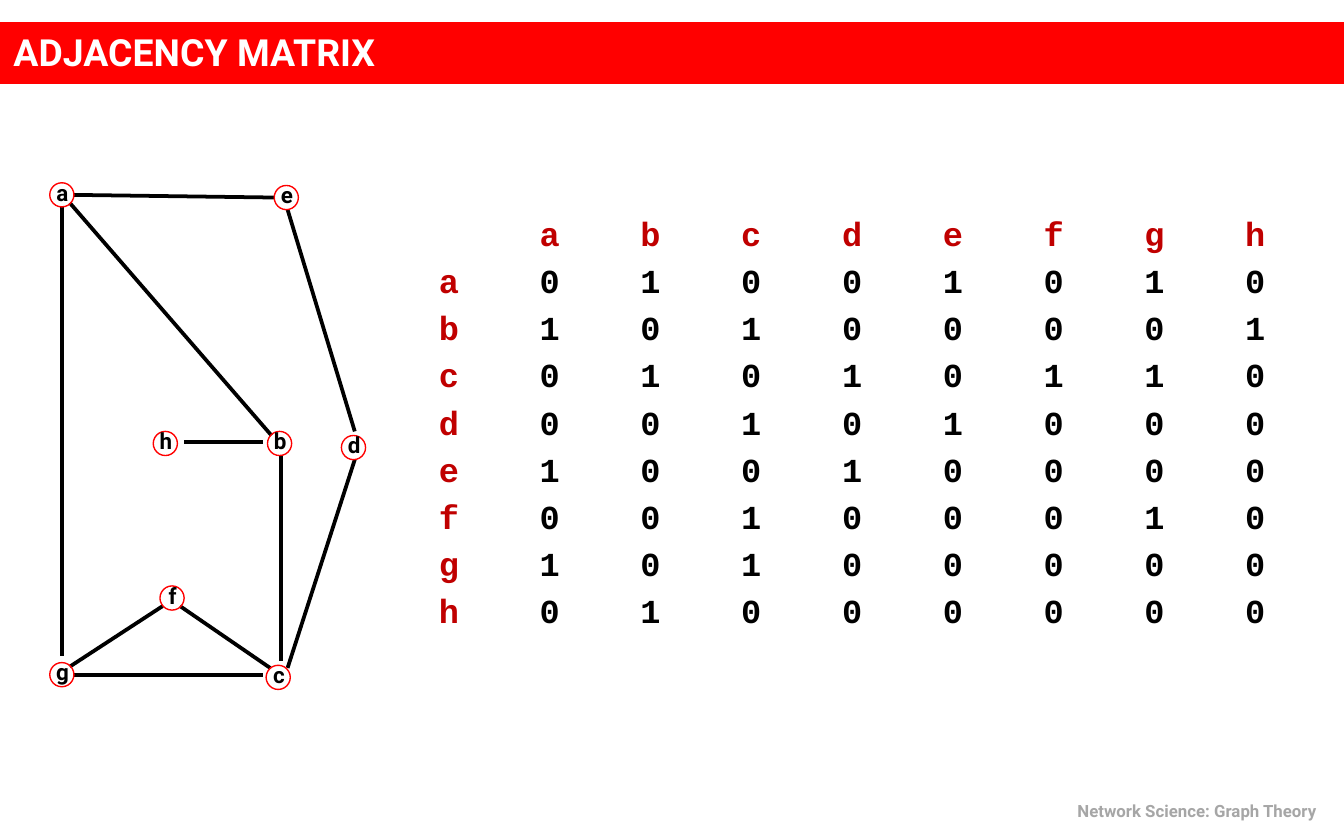
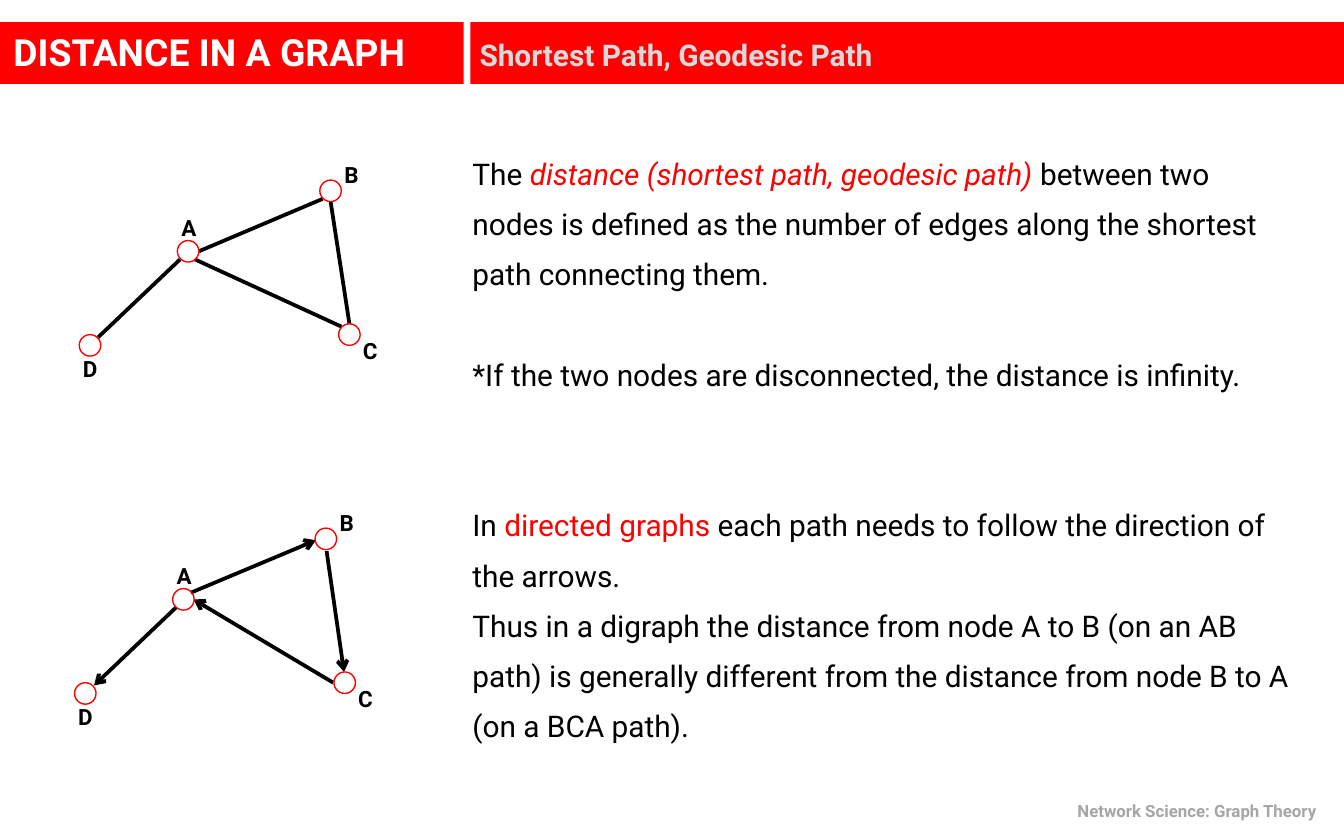
from collections import namedtuple

from lxml import etree
from pptx import Presentation
from pptx import util as u
from pptx.dml import color
from pptx.enum import shapes, text
from pptx.oxml import ns

Box = namedtuple("Box", "left top width height")
Node = namedtuple("Node", "label x y shift_x shift_y")

CELL = u.Inches(0.1)
COLUMNS, ROWS = 100, 62.5
RED, DARK_RED, BLACK, WHITE = "FF0000", "C00000", "000000", "FFFFFF"
GREY, LIGHT_GREY = "A6A6A6", "D9D9D9"
FONT, MATRIX_FONT = "Roboto", "Courier New"
BAND = Box(0, 1.65, COLUMNS, 4.6)
SUBTITLE = Box(34.7, 1.75, 60, 4.6)
FOOTER = Box(70.9, 59.1, 28, 2.5)
TEXT_LINE = 27

LETTER_NODES = [
    Node(label, x, y, 0.05, -0.2)
    for label, x, y in [
        ("a", 1.3, 1.2), ("b", 17.5, 19.7), ("c", 17.4, 37.1), ("d", 23, 20),
        ("e", 18, 1.4), ("f", 9.5, 31.2), ("g", 1.3, 36.9), ("h", 9, 19.7),
    ]
]
LETTER_EDGES = [
    (1.9, 1.8, 16.9, 19.1), (1.3, 2, 1.3, 35.5), (2.2, 1.2, 17.1, 1.4),
    (1.9, 36.3, 8.8, 31.8), (10.1, 31.8, 16.8, 36.4), (2.2, 36.9, 16.3, 36.9),
    (17.6, 20.6, 17.6, 35.9), (10.4, 19.6, 16.3, 19.6),
    (18.1, 2.3, 23.1, 18.8), (18.1, 36.4, 23.1, 20.9),
]
ADJACENCY = {
    "a": "01001010", "b": "10100001", "c": "01010110", "d": "00101000",
    "e": "10010000", "f": "00100010", "g": "10100000", "h": "01000000",
}
PATH_NODES = [
    Node("A", 9, 6.7, 0.05, -1.8), Node("B", 19.6, 2.2, 1.55, -1.2),
    Node("C", 21, 12.9, 1.55, 1.15), Node("D", 1.7, 13.7, 0, 1.7),
]
UNDIRECTED_EDGES = [
    (2.3, 13.1, 8.4, 7.3), (9.8, 6.7, 19, 2.8),
    (21, 12.1, 19.6, 3), (9.5, 7.3, 20.4, 12.3),
]
DIRECTED_EDGES = [
    (8.45, 7.3, 2.35, 13.1), (9.55, 6.2, 18.85, 2.3),
    (19.65, 3.1, 20.95, 12.1), (20.15, 12.9, 9.75, 6.7),
]
DEFINITIONS = [
    (0, [
        ("The ", BLACK),
        ("distance (shortest path, geodesic path) ", RED, True),
        ("between two nodes is defined as the number of edges along "
         "the shortest path connecting them.", BLACK),
    ]),
    (1, [("*If the two nodes are disconnected, the distance is infinity.", BLACK)]),
    (2, [
        ("In ", BLACK),
        ("directed graphs ", RED),
        ("each path needs to follow the direction of the arrows.", BLACK),
    ]),
    (0, [
        ("Thus in a digraph the distance from node A to B (on an AB path) is "
         "generally different from the distance from node B to A "
         "(on a BCA path).", BLACK),
    ]),
]


def rgb(value):
    """Turn a hex string into a colour."""
    return color.RGBColor.from_string(value)


def cells(*counts):
    """Turn grid cells into slide lengths."""
    return [u.Emu(round(count * CELL)) for count in counts]


def centred(x, y, width, height):
    """Return the box of a given size around a point."""
    return Box(x - width / 2, y - height / 2, width, height)


def style(span, size, shade, font=FONT, bold=True, italic=False):
    """Format one run."""
    span.font.name = font
    span.font.size = u.Pt(size)
    span.font.bold = bold
    span.font.italic = italic
    span.font.color.rgb = rgb(shade)


def place(holder, box):
    """Move a placeholder to a box and switch off text fitting."""
    holder.left, holder.top, holder.width, holder.height = cells(*box)
    holder.text_frame.auto_size = text.MSO_AUTO_SIZE.NONE
    holder.text_frame.word_wrap = True


def add_label(page, box, words, size, shade, alignment):
    """Add one line of bold text."""
    frame = page.shapes.add_textbox(*cells(*box)).text_frame
    frame.word_wrap = True
    frame.text = words
    paragraph = frame.paragraphs[0]
    paragraph.alignment = alignment
    style(paragraph.runs[0], size, shade)
    return frame


def add_node(page, x, y, diameter):
    """Draw an open red circle around a point."""
    circle = page.shapes.add_shape(
        shapes.MSO_SHAPE.OVAL, *cells(*centred(x, y, diameter, diameter)))
    circle.shadow.inherit = False
    circle.fill.background()
    circle.line.color.rgb = rgb(RED)
    circle.line.width = u.Pt(0.75)


def add_edge(page, ends, directed):
    """Draw an edge, with an arrowhead if it is directed."""
    edge = page.shapes.add_connector(shapes.MSO_CONNECTOR.STRAIGHT, *cells(*ends))
    edge.line.color.rgb = rgb(BLACK)
    edge.line.width = u.Pt(2)
    if directed:
        outline = edge.line._get_or_add_ln()
        etree.SubElement(outline, ns.qn("a:tailEnd"), type="arrow")
    etree.SubElement(edge._element.spPr, ns.qn("a:effectLst"))


def add_graph(page, box, nodes, edges, diameter, directed=False):
    """Draw a graph inside a box."""
    for x1, y1, x2, y2 in edges:
        ends = (box.left + x1, box.top + y1, box.left + x2, box.top + y2)
        add_edge(page, ends, directed)
    for node in nodes:
        x, y = box.left + node.x, box.top + node.y
        add_node(page, x, y, diameter)
        spot = centred(x + node.shift_x, y + node.shift_y, 2.7, 2)
        frame = add_label(page, spot, node.label, 12, BLACK, text.PP_ALIGN.CENTER)
        frame.margin_left = frame.margin_right = 0
        frame.margin_top = frame.margin_bottom = 0


def add_subtitle(page, words):
    """Write a subtitle in the band, behind a white divider."""
    frame = add_label(page, SUBTITLE, words, 16, LIGHT_GREY, text.PP_ALIGN.LEFT)
    frame.vertical_anchor = text.MSO_ANCHOR.MIDDLE
    divider = page.shapes.add_shape(
        shapes.MSO_SHAPE.RECTANGLE, *cells(34.5, BAND.top, 0.5, BAND.height))
    divider.shadow.inherit = False
    divider.fill.solid()
    divider.fill.fore_color.rgb = rgb(WHITE)
    divider.line.fill.background()


def add_page(deck, layout, title):
    """Add a slide with the red title band and the footer."""
    page = deck.slides.add_slide(deck.slide_layouts.get_by_name(layout))
    band = page.shapes.title
    place(band, BAND)
    band.fill.solid()
    band.fill.fore_color.rgb = rgb(RED)
    frame = band.text_frame
    frame.vertical_anchor = text.MSO_ANCHOR.MIDDLE
    frame.margin_bottom = u.Inches(0.07)
    frame.text = title
    frame.paragraphs[0].alignment = text.PP_ALIGN.LEFT
    style(frame.paragraphs[0].runs[0], 20, WHITE)
    add_label(page, FOOTER, "Network Science: Graph Theory", 9, GREY,
              text.PP_ALIGN.RIGHT)
    return page


def add_matrix(page, box, adjacency):
    """Write the adjacency matrix as a plain table filling a box."""
    rows = [["", *adjacency]]
    rows += [[name, *values] for name, values in adjacency.items()]
    size = len(rows)
    table = page.shapes.add_table(size, size, *cells(*box)).table
    table.first_row = table.horz_banding = False
    column_width, row_height = cells(box.width / size, box.height / size)
    for i, row in enumerate(rows):
        table.columns[i].width = column_width
        table.rows[i].height = row_height
        for j, value in enumerate(row):
            cell = table.cell(i, j)
            cell.fill.background()
            cell.margin_left = cell.margin_right = 0
            cell.margin_top = cell.margin_bottom = 0
            cell.vertical_anchor = text.MSO_ANCHOR.MIDDLE
            cell.text = value
            paragraph = cell.text_frame.paragraphs[0]
            paragraph.alignment = text.PP_ALIGN.CENTER
            for span in paragraph.runs:
                style(span, 18, BLACK if i and j else DARK_RED, MATRIX_FONT)


def fill_definitions(holder, box, definitions):
    """Write the definitions, each after its number of free lines."""
    place(holder, box)
    frame = holder.text_frame
    for i, (gap, spans) in enumerate(definitions):
        paragraph = frame.add_paragraph() if i else frame.paragraphs[0]
        properties = paragraph._p.get_or_add_pPr()
        properties.set("marL", "0")
        properties.set("indent", "0")
        etree.SubElement(properties, ns.qn("a:buNone"))
        paragraph.space_before = u.Pt(gap * TEXT_LINE)
        paragraph.line_spacing = 1.4
        for words, shade, *italic in spans:
            span = paragraph.add_run()
            span.text = words
            style(span, 16, shade, bold=False, italic=bool(italic))


def matrix_page(deck):
    """Build the slide with a graph and its adjacency matrix."""
    page = add_page(deck, "Title Only", "ADJACENCY MATRIX")
    add_matrix(page, Box(29.65, 15.95, 67.5, 31.5), ADJACENCY)
    add_graph(page, Box(3.3, 13.3, 24.5, 38.5), LETTER_NODES, LETTER_EDGES, 1.8)


def distance_page(deck):
    """Build the slide on distance in both kinds of graph."""
    page = add_page(deck, "Title and Content", "DISTANCE IN A GRAPH")
    add_subtitle(page, "Shortest Path, Geodesic Path")
    fill_definitions(page.placeholders[1], Box(34.15, 10, 63.3, 46.1), DEFINITIONS)
    add_graph(page, Box(5, 12, 24, 16), PATH_NODES, UNDIRECTED_EDGES, 1.6)
    add_graph(page, Box(4.65, 37.9, 24, 16), PATH_NODES, DIRECTED_EDGES, 1.6, True)


def main():
    """Build and save the deck."""
    deck = Presentation()
    deck.slide_width, deck.slide_height = cells(COLUMNS, ROWS)
    matrix_page(deck)
    distance_page(deck)
    deck.save("out.pptx")


if __name__ == "__main__":
    main()
